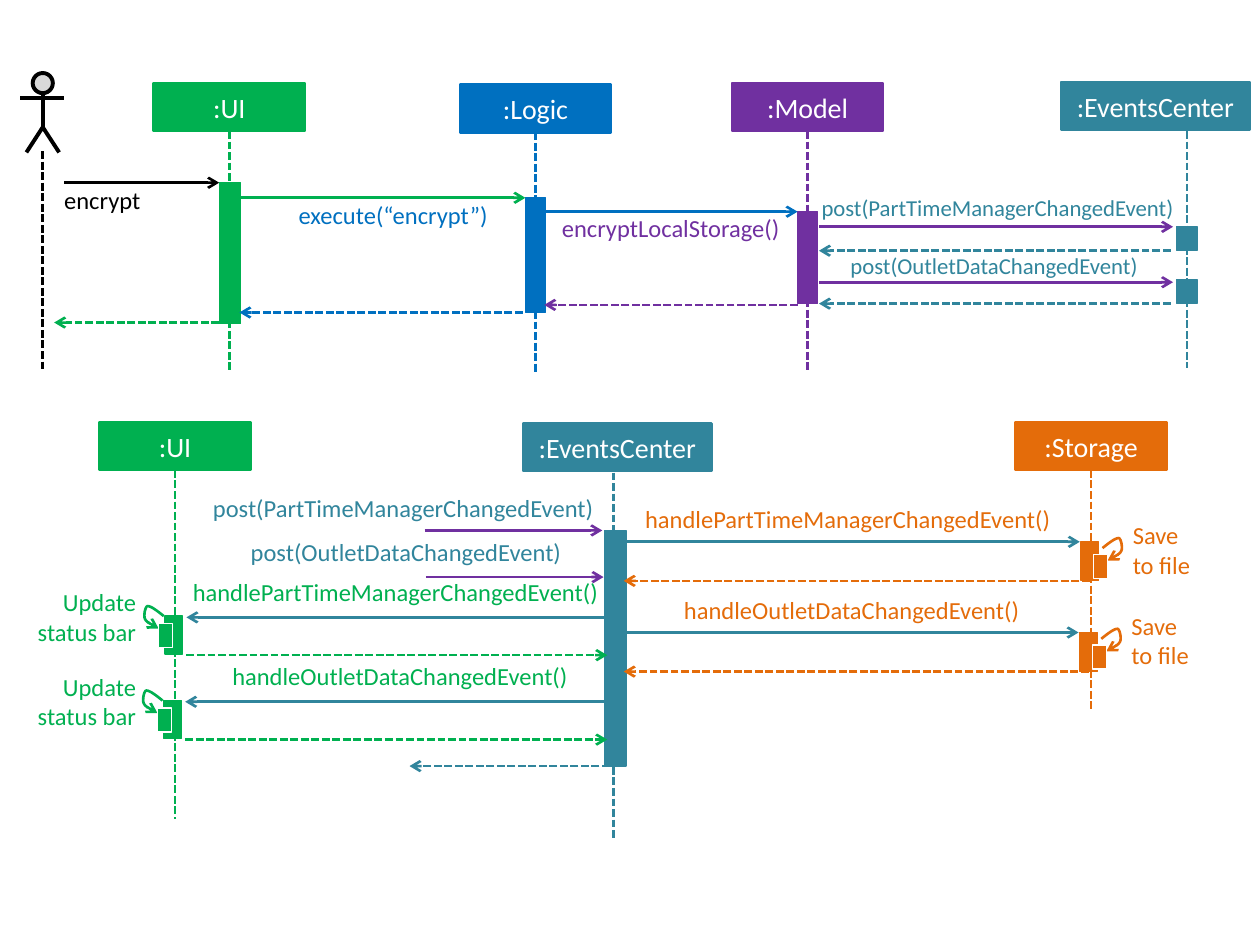
"""Build a two-part sequence diagram of the encrypt command."""
from lxml.etree import SubElement
from pptx import Presentation
from pptx.dml.color import RGBColor
from pptx.enum.dml import MSO_LINE
from pptx.enum.shapes import MSO_CONNECTOR, MSO_SHAPE
from pptx.enum.text import MSO_ANCHOR, PP_ALIGN
from pptx.oxml.ns import qn
from pptx.util import Inches, Pt

GREEN, BLUE, PURPLE, TEAL = "00B050", "0070C0", "7030A0", "31859C"
ORANGE, BLACK, WHITE, GRAY = "E46C0A", "000000", "FFFFFF", "D9D9D9"
LOOP_CURVES = (
    ((-0.05, -0.03), (-0.1, -0.05), (-0.11, -0.08)),
    ((-0.12, -0.1), (-0.11, -0.17), (-0.09, -0.18)),
    ((-0.06, -0.18), (-0.01, -0.14), (0.04, -0.1)),
)


def color(hex_value):
    return RGBColor.from_string(hex_value)


def curve_points(curves, steps=8):
    points, start = [], (0, 0)
    for first, second, end in curves:
        for step in range(1, steps + 1):
            t = step / steps
            weights = ((1 - t) ** 3, 3 * t * (1 - t) ** 2, 3 * t * t * (1 - t), t ** 3)
            corners = (start, first, second, end)
            points.append(tuple(
                sum(weight * corner[axis] for weight, corner in zip(weights, corners))
                for axis in (0, 1)
            ))
        start = end
    return points


class SequenceDiagram:
    def __init__(self, slide, font="Calibri"):
        self.shapes = slide.shapes
        self.font = font

    def stroke(self, shape, hex_value, width, dashed=False, arrow=None):
        shape.line.color.rgb = color(hex_value)
        shape.line.width = Pt(width)
        if dashed:
            shape.line.dash_style = MSO_LINE.SQUARE_DOT
        if arrow:
            outline = shape._element.spPr.find(qn("a:ln"))
            SubElement(outline, qn(f"a:{arrow}"), type="arrow")

    def set_text(self, frame, text, size, hex_value, align):
        frame.word_wrap = True
        para = frame.paragraphs[0]
        para.text = text
        para.alignment = align
        style = {"size": Pt(size), "name": self.font}
        for span in para.runs:
            for name, value in style.items():
                setattr(span.font, name, value)
            span.font.color.rgb = color(hex_value)
        for line_break in para._p.findall(qn("a:br")):
            SubElement(line_break, qn("a:rPr"), sz=str(size * 100))

    def box(self, left, top, width, height, fill, line=None, line_width=0.75,
            preset=MSO_SHAPE.RECTANGLE):
        shape = self.shapes.add_shape(
            preset, Inches(left), Inches(top), Inches(width), Inches(height))
        shape.shadow.inherit = False
        shape.fill.solid()
        shape.fill.fore_color.rgb = color(fill)
        self.stroke(shape, line or fill, line_width)
        return shape

    def line(self, start, end, hex_value, width=1.5, dashed=False, arrow=None):
        connector = self.shapes.add_connector(
            MSO_CONNECTOR.STRAIGHT, *map(Inches, start + end))
        self.stroke(connector, hex_value, width, dashed, arrow)
        SubElement(connector._element.spPr, qn("a:effectLst"))
        return connector

    def outline(self, points, hex_value, width, arrow=None):
        start, *rest = [(Inches(x), Inches(y)) for x, y in points]
        builder = self.shapes.build_freeform(*start)
        builder.add_line_segments(rest, close=False)
        shape = builder.convert_to_shape()
        shape.shadow.inherit = False
        shape.fill.background()
        self.stroke(shape, hex_value, width, arrow=arrow)
        return shape

    def label(self, left, top, width, text, hex_value, size=14,
              align=PP_ALIGN.LEFT, height=0.24):
        frame = self.shapes.add_textbox(
            Inches(left), Inches(top), Inches(width), Inches(height)).text_frame
        for side in ("left", "top", "right", "bottom"):
            setattr(frame, f"margin_{side}", 0)
        self.set_text(frame, text, size, hex_value, align)

    def participant(self, name, left, top, width, hex_value, end, life_x=None):
        header = self.box(left, top, width, 0.38, hex_value, line_width=1.5)
        header.text_frame.vertical_anchor = MSO_ANCHOR.MIDDLE
        self.set_text(header.text_frame, name, 16, WHITE, PP_ALIGN.CENTER)
        x = life_x or left + width / 2
        lifeline = self.line((x, top + 0.39), (x, end), hex_value, dashed=True)
        if life_x is None:
            lifeline.begin_connect(header, 2)

    def message(self, start, end, y, hex_value, dashed=False):
        self.line((start, y), (end, y), hex_value, dashed=dashed, arrow="tailEnd")

    def actor(self, x, top, end):
        head = self.box(x - 0.08, top, 0.16, 0.16, GRAY, BLACK, 2.25,
                        MSO_SHAPE.FLOWCHART_CONNECTOR)
        body = self.line((x, top + 0.16), (x, top + 0.44), BLACK, 2.25)
        legs = self.outline([(x - 0.13, top + 0.63), (x, top + 0.43),
                             (x + 0.13, top + 0.63)], BLACK, 2.25)
        arms = self.line((x - 0.18, top + 0.2), (x + 0.17, top + 0.2), BLACK, 2.25)
        self.shapes.add_group_shape([head, body, legs, arms])
        self.line((x, top + 0.62), (x, end), BLACK, dashed=True)

    def self_call(self, left, top, tip_x, tip_y, hex_value, side):
        points = [(tip_x, tip_y)]
        points += [(tip_x + side * x, tip_y + y) for x, y in curve_points(LOOP_CURVES)]
        loop = self.outline(points, hex_value, 1.5, arrow="headEnd")
        marker = self.box(left, top, 0.11, 0.19, hex_value, WHITE)
        self.shapes.add_group_shape([loop, marker])


def draw_command(diagram):
    for participant in (
        (":UI", 1.22, 0.66, 1.2, GREEN, 2.95),
        (":Logic", 3.65, 0.67, 1.2, BLUE, 2.95),
        (":Model", 5.81, 0.66, 1.2, PURPLE, 2.95),
        (":EventsCenter", 8.42, 0.65, 1.5, TEAL, 2.92, 9.42),
    ):
        diagram.participant(*participant)
    diagram.actor(0.34, 0.58, 2.95)
    for activation in (
        (1.74, 1.45, 0.17, 1.12, GREEN),
        (4.17, 1.57, 0.16, 0.91, BLUE),
        (6.33, 1.68, 0.16, 0.73, PURPLE),
        (9.34, 1.8, 0.16, 0.19, TEAL),
        (9.34, 2.22, 0.16, 0.19, TEAL),
    ):
        diagram.box(*activation)
    for message in (
        (0.51, 1.74, 1.45, BLACK), (1.9, 4.17, 1.57, GREEN),
        (4.32, 6.33, 1.68, BLUE), (6.5, 9.31, 1.8, PURPLE),
        (9.29, 6.5, 1.99, TEAL, True), (6.5, 9.31, 2.24, PURPLE),
        (9.29, 6.5, 2.41, TEAL, True), (6.33, 4.32, 2.42, PURPLE, True),
        (4.15, 1.9, 2.48, BLUE, True), (1.74, 0.43, 2.56, GREEN, True),
    ):
        diagram.message(*message)
    for label in (
        (0.51, 1.47, 0.94, "encrypt", BLACK),
        (2.37, 1.59, 1.56, "execute(“encrypt”)", BLUE),
        (4.46, 1.69, 1.8, "encryptLocalStorage()", PURPLE),
        (6.52, 1.54, 3.11, "post(PartTimeManagerChangedEvent)", TEAL, 13),
        (6.75, 2, 2.47, "post(OutletDataChangedEvent)", TEAL, 13),
    ):
        diagram.label(*label)


def draw_events(diagram):
    diagram.participant(":Storage", 8.06, 3.35, 1.2, ORANGE, 5.63)
    diagram.participant(":EventsCenter", 4.15, 3.36, 1.5, TEAL, 6.67, 4.87)
    diagram.participant(":UI", 0.79, 3.35, 1.2, GREEN, 6.5)
    diagram.box(4.8, 4.21, 0.17, 1.87, TEAL)
    diagram.label(1.69, 3.91, 3.26, "post(PartTimeManagerChangedEvent)", TEAL)
    diagram.label(1.99, 4.26, 2.97, "post(OutletDataChangedEvent)", TEAL)
    diagram.message(3.37, 4.78, 4.21, PURPLE)
    diagram.message(3.38, 4.79, 4.58, PURPLE)
    diagram.message(4.84, 3.25, 6.08, TEAL, True)
    handlers = (
        ("handlePartTimeManagerChangedEvent()", PP_ALIGN.LEFT, 8.58, 4.3, 1.31, 4.89),
        ("handleOutletDataChangedEvent()", PP_ALIGN.CENTER, 8.57, 5.02, 1.3, 5.56),
    )
    for name, align, storage_x, storage_y, ui_x, ui_y in handlers:
        diagram.box(storage_x, storage_y, 0.14, 0.31, ORANGE)
        diagram.message(4.94, storage_x - 0.01, storage_y, TEAL)
        diagram.message(storage_x + 0.07, 4.95, storage_y + 0.31, ORANGE, True)
        diagram.label(storage_x - 3.46, storage_y - 0.3, 3.3, name, ORANGE, align=align)
        diagram.self_call(storage_x + 0.1, storage_y + 0.1,
                          storage_x + 0.21, storage_y + 0.15, ORANGE, -1)
        diagram.label(storage_x + 0.41, storage_y - 0.17, 0.59, "Save \vto file",
                      ORANGE, height=0.47)
        diagram.box(ui_x, ui_y, 0.14, 0.3, GREEN)
        diagram.message(4.82, ui_x + 0.17, ui_y + 0.01, TEAL)
        diagram.message(ui_x + 0.17, 4.82, ui_y + 0.31, GREEN, True)
        diagram.label(ui_x + 0.22, ui_y - 0.31, 3.31, name, GREEN, align=align)
        diagram.self_call(ui_x - 0.05, ui_y + 0.06, ui_x - 0.05, ui_y + 0.1, GREEN, 1)
        diagram.label(0.21, ui_y - 0.23, 0.87, "Update status bar", GREEN,
                      align=PP_ALIGN.RIGHT, height=0.47)


def main():
    deck = Presentation()
    deck.slide_width, deck.slide_height = Inches(10), Inches(7.5)
    diagram = SequenceDiagram(deck.slides.add_slide(deck.slide_layouts[6]))
    draw_command(diagram)
    draw_events(diagram)
    deck.save("out.pptx")


if __name__ == "__main__":
    main()
